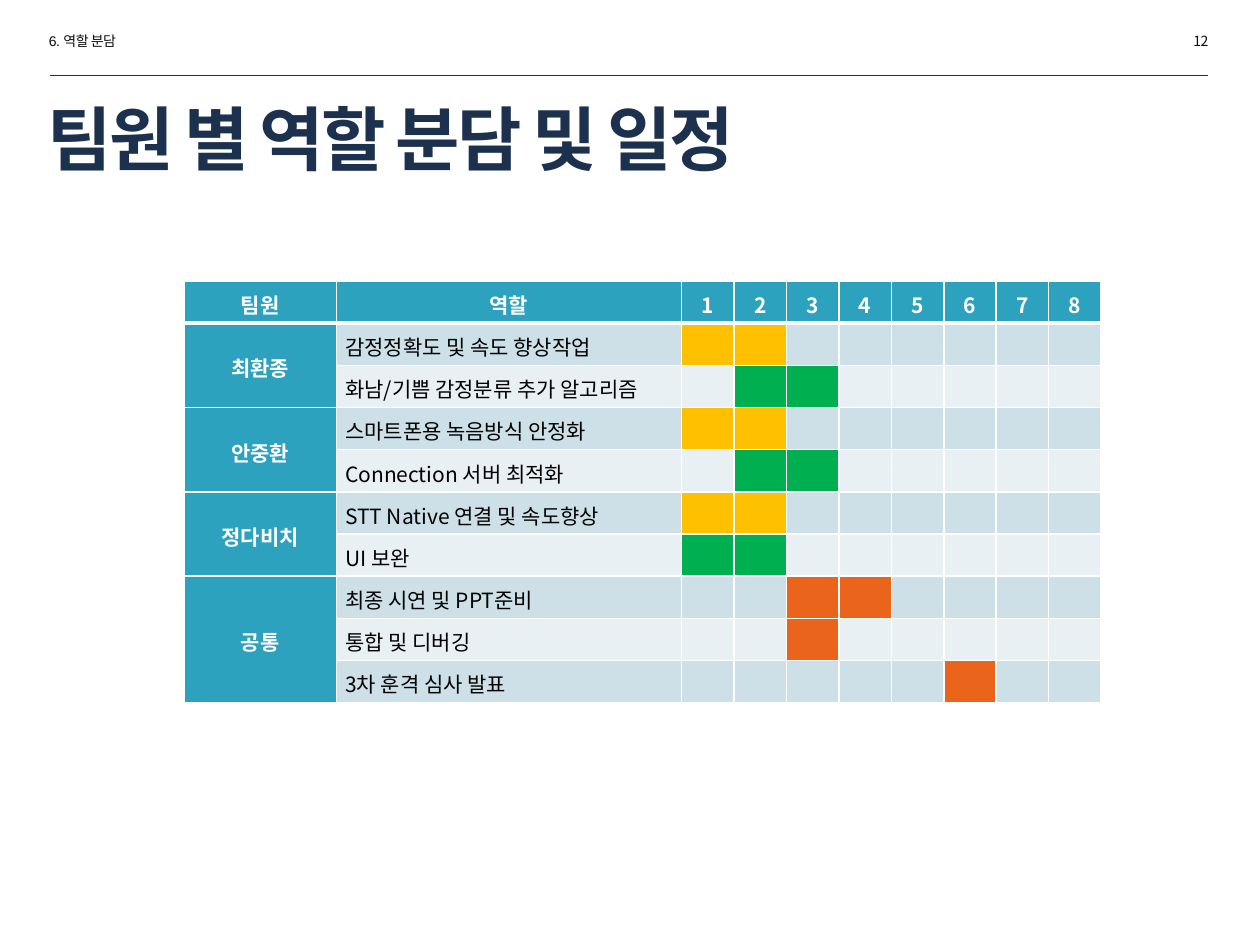
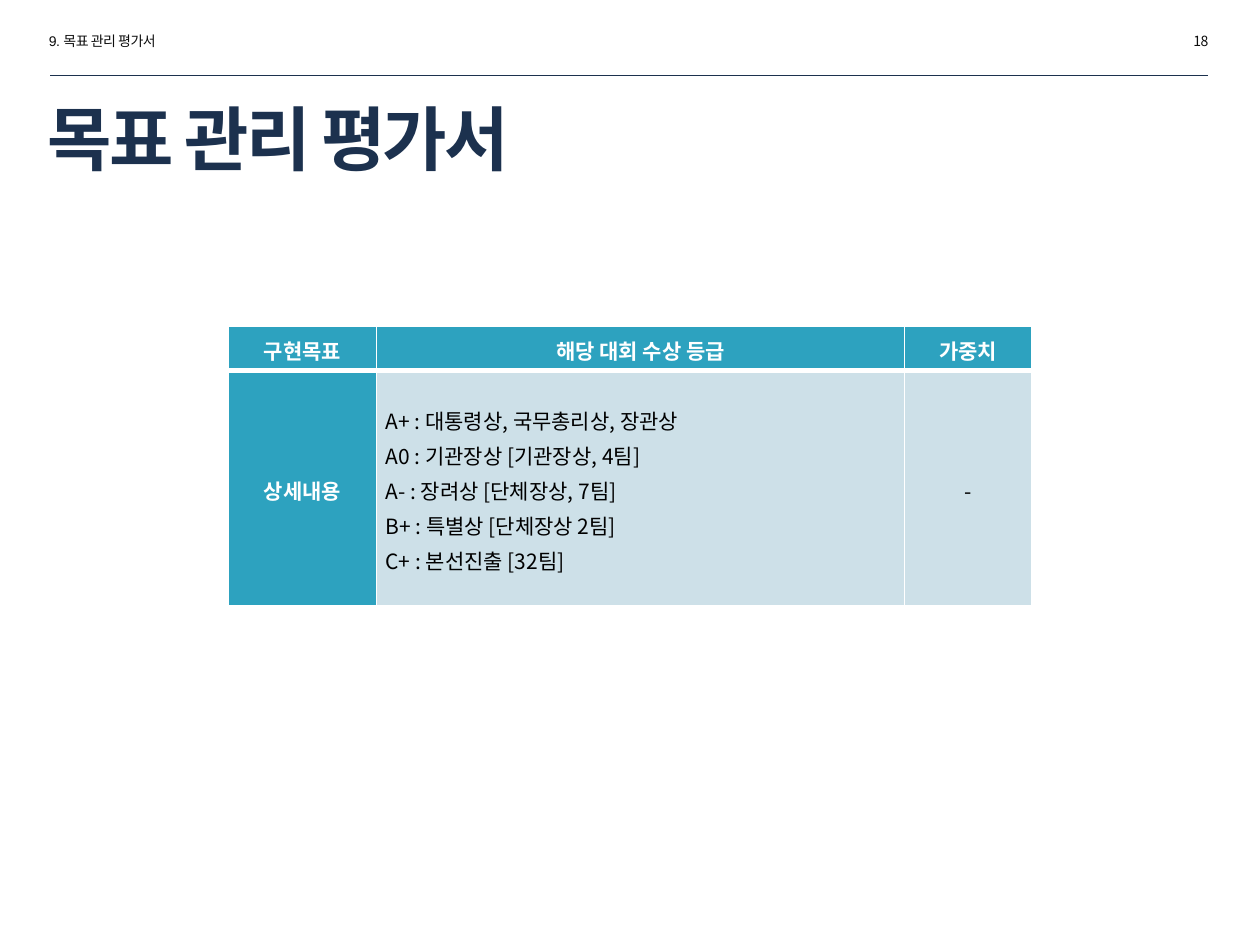
from lxml.etree import SubElement
from pptx import Presentation
from pptx.dml.color import RGBColor
from pptx.enum.shapes import MSO_CONNECTOR as Connector
from pptx.enum.text import MSO_ANCHOR as Anchor, PP_ALIGN as Align
from pptx.oxml.ns import qn
from pptx.util import Inches, Pt

COLORS = {
    "navy": "1C314E",
    "ink": "0D0D0D",
    "black": "000000",
    "white": "FFFFFF",
    "teal": "2DA2BF",
    "band_dark": "CDE0E8",
    "band_light": "E8F0F4",
    "yellow": "FFC000",
    "green": "00B050",
    "orange": "EB641B",
}
KOREAN_FONT = "Noto Sans CJK KR"
WEEKS = 8

ROLES = [
    ("최환종", [("감정정확도 및 속도 향상작업", "yellow", 1, 2),
             ("화남/기쁨 감정분류 추가 알고리즘", "green", 2, 3)]),
    ("안중환", [("스마트폰용 녹음방식 안정화", "yellow", 1, 2),
             ("Connection 서버 최적화", "green", 2, 3)]),
    ("정다비치", [("STT Native 연결 및 속도향상", "yellow", 1, 2),
              ("UI 보완", "green", 1, 2)]),
    ("공통", [("최종 시연 및 PPT준비", "orange", 3, 4),
            ("통합 및 디버깅", "orange", 3, 3),
            ("3차 훈격 심사 발표", "orange", 6, 6)]),
]

AWARD_GRADES = """A+ : 대통령상, 국무총리상, 장관상
A0 : 기관장상 [기관장상, 4팀]
A- : 장려상 [단체장상, 7팀]
B+ : 특별상 [단체장상 2팀]
C+ : 본선진출 [32팀]"""


def rgb(name):
    return RGBColor.from_string(COLORS[name])


def write_text(frame, text, size=12, color="black", bold=False, font=KOREAN_FONT,
               align=Align.LEFT, line_spacing=None, tracking=0):
    for index, line in enumerate(text.split("\n")):
        paragraph = frame.paragraphs[0] if index == 0 else frame.add_paragraph()
        paragraph.alignment = align
        paragraph.line_spacing = line_spacing
        if not line:
            SubElement(paragraph._p, qn("a:endParaRPr"), sz=str(size * 100))
            continue
        run = paragraph.add_run()
        run.text = line
        run.font.size = Pt(size)
        run.font.bold = bold
        run.font.name = font
        run.font.color.rgb = rgb(color)
        properties = run._r.get_or_add_rPr()
        SubElement(properties, qn("a:ea"), typeface=KOREAN_FONT)
        if tracking:
            properties.set("spc", str(round(tracking * 100)))


def add_label(slide, text, left, top, width, height, anchor=Anchor.TOP, **text_format):
    frame = slide.shapes.add_textbox(
        Inches(left), Inches(top), Inches(width), Inches(height)).text_frame
    frame.word_wrap = True
    frame.vertical_anchor = anchor
    write_text(frame, text, **text_format)


def add_rule(slide):
    rule = slide.shapes.add_connector(
        Connector.STRAIGHT, Inches(0.4), Inches(0.6), Inches(9.59), Inches(0.6))
    rule.line.color.rgb = rgb("navy")
    rule.line.width = Pt(0.25)
    SubElement(rule._element.spPr, qn("a:effectLst"))


def add_page(deck, section, title, number):
    slide = deck.slides.add_slide(deck.slide_layouts[6])
    add_label(slide, section, 0.29, 0.21, 1.73, 0.24,
              size=8, color="ink", font="Arial", tracking=-0.3)
    add_rule(slide)
    add_label(slide, title, 0.28, 0.77, 7.65, 0.64, anchor=Anchor.MIDDLE,
              size=40, color="navy", bold=True, font="Arial", tracking=-1.5)
    add_label(slide, str(number), 7.96, 0.21, 1.73, 0.24,
              size=8, color="ink", align=Align.RIGHT, tracking=-0.3)
    return slide


def set_borders(cell, top=1, bottom=1):
    properties = cell._tc.get_or_add_tcPr()
    for side, width in (("L", 1), ("R", 1), ("T", top), ("B", bottom)):
        border = SubElement(properties, qn(f"a:ln{side}"), w=str(Pt(width)))
        fill = SubElement(border, qn("a:solidFill"))
        SubElement(fill, qn("a:srgbClr"), val=COLORS["white"])


def fill_cell(table, row, column, fill, text="", **text_format):
    cell = table.cell(row, column)
    cell.margin_left = cell.margin_right = Inches(0.07)
    cell.margin_top = cell.margin_bottom = 0
    cell.vertical_anchor = Anchor.MIDDLE
    set_borders(cell, top=3 if row == 1 else 1, bottom=3 if row == 0 else 1)
    cell.fill.solid()
    cell.fill.fore_color.rgb = rgb(fill)
    write_text(cell.text_frame, text, line_spacing=1.15, **text_format)


def fill_heading(table, row, column, text=""):
    fill_cell(table, row, column, "teal", text,
              color="white", bold=True, align=Align.CENTER)


def add_grid(slide, left, top, widths, heights, headings):
    table = slide.shapes.add_table(
        len(heights), len(widths), Inches(left), Inches(top),
        Inches(sum(widths)), Inches(sum(heights))).table
    for column, width in zip(table.columns, widths):
        column.width = Inches(width)
    for row, height in zip(table.rows, heights):
        row.height = Inches(height)
    for column, heading in enumerate(headings):
        fill_heading(table, 0, column, heading)
    return table


def add_schedule(slide):
    row_count = 1 + sum(len(tasks) for _, tasks in ROLES)
    table = add_grid(
        slide, 1.46, 2.23, [1.21, 2.74] + [3.33 / WEEKS] * WEEKS,
        [3.35 / row_count] * row_count,
        ["팀원", "역할"] + [str(week) for week in range(1, WEEKS + 1)])
    row = 1
    for member, tasks in ROLES:
        first_row = row
        for task, bar, start, end in tasks:
            band = "band_dark" if row % 2 else "band_light"
            fill_heading(table, row, 0, member if row == first_row else "")
            fill_cell(table, row, 1, band, task, align=Align.JUSTIFY)
            for week in range(1, WEEKS + 1):
                fill_cell(table, row, week + 1, bar if start <= week <= end else band)
            row += 1
        table.cell(first_row, 0).merge(table.cell(row - 1, 0))


def add_evaluation(slide):
    table = add_grid(slide, 1.81, 2.59, [1.18, 4.19, 1.01], [0.35, 1.87],
                     ["구현목표", "해당 대회 수상 등급", "가중치"])
    fill_heading(table, 1, 0, "상세내용")
    fill_cell(table, 1, 1, "band_dark", AWARD_GRADES, align=Align.JUSTIFY)
    fill_cell(table, 1, 2, "band_dark", "-", align=Align.CENTER)


def main():
    deck = Presentation()
    deck.slide_width, deck.slide_height = Inches(10), Inches(7.5)
    add_schedule(add_page(deck, "6. 역할 분담", "팀원 별 역할 분담 및 일정", 12))
    add_evaluation(add_page(deck, "9. 목표 관리 평가서", "목표 관리 평가서", 18))
    deck.save("out.pptx")


if __name__ == "__main__":
    main()
